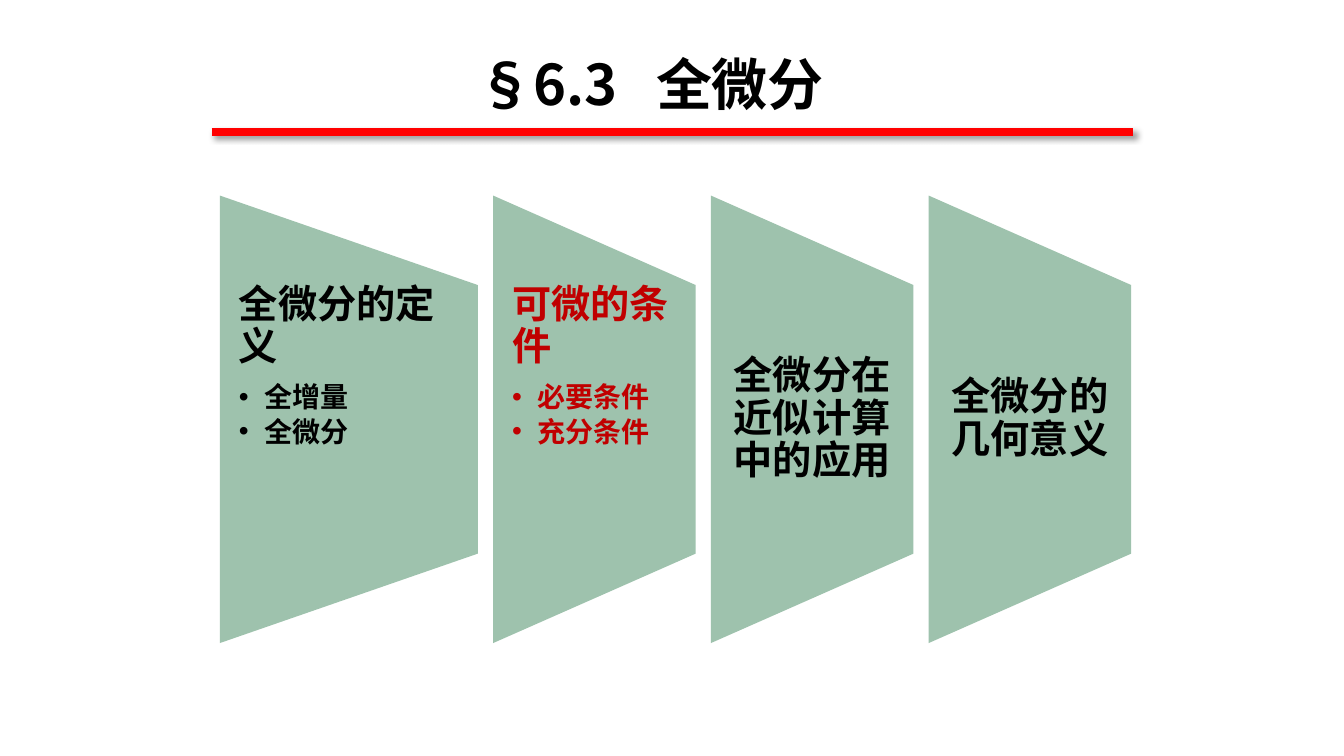
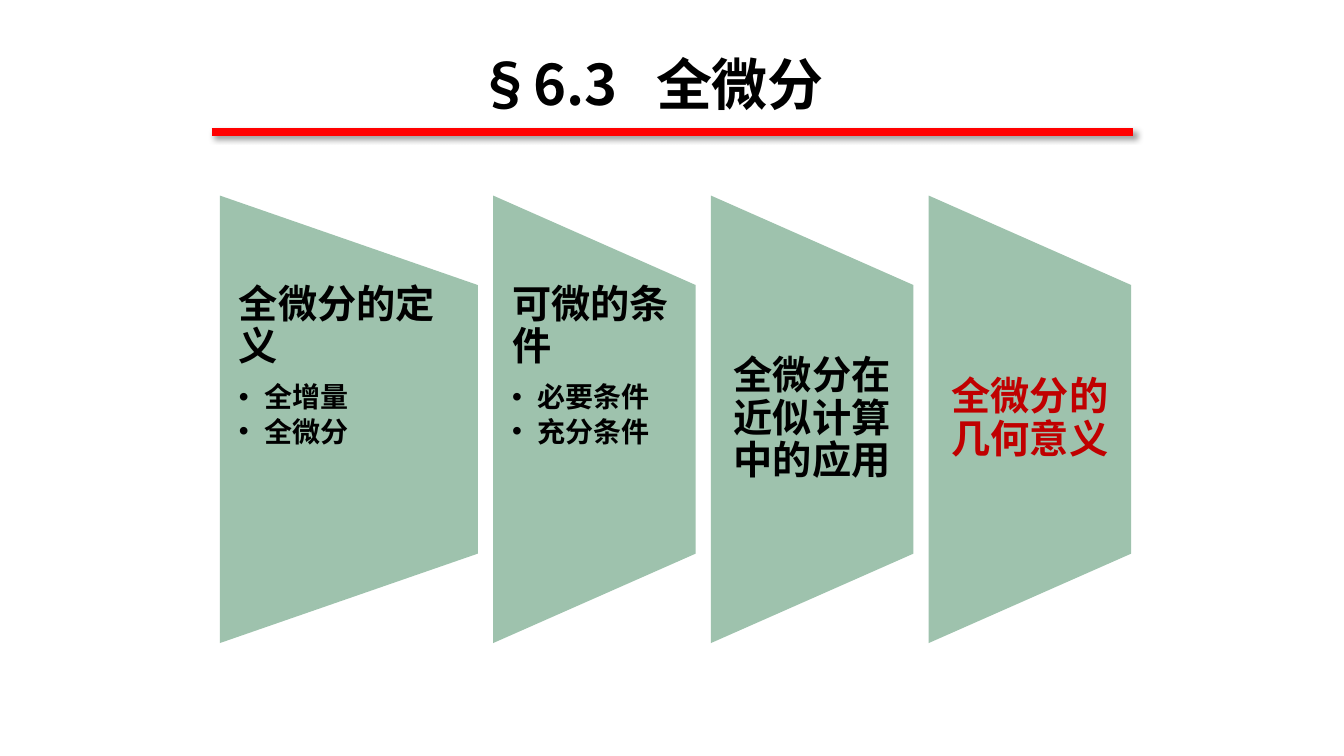
import pptx
import pptx.dml.color
import pptx.enum.shapes
import pptx.enum.text
import pptx.oxml
import pptx.oxml.ns
import pptx.util

Inches = pptx.util.Inches
Pt = pptx.util.Pt
ALIGN = pptx.enum.text.PP_ALIGN
ANCHOR = pptx.enum.text.MSO_ANCHOR

TITLE = "§6.3   全微分"
TOPICS = [
    ("全微分的定义", ["全增量", "全微分"], 2.56),
    ("可微的条件", ["必要条件", "充分条件"], 2.01),
    ("全微分在近似计算中的应用", [], 2.01),
    ("全微分的几何意义", [], 2.01),
]
CURRENT_TOPICS = [1, 3]

PANELS_LEFT = 2.18
PANEL_GAP = 0.15
PANEL_HEIGHT = 4.44
PANEL_MIDDLE = 4.16
TOPIC_HEIGHT = 2.67


class Deck:
    FONT = "Noto Sans CJK SC"
    COLORS = {
        "text": "000000",
        "current": "C00000",
        "panel": "9EC2AD",
        "rule": "FF0000",
        "shadow": "000000",
    }

    def __init__(self):
        self.presentation = pptx.Presentation()
        self.presentation.slide_width = Inches(13.33)
        self.presentation.slide_height = Inches(7.5)
        self.slide = None

    def color(self, name):
        return pptx.dml.color.RGBColor.from_string(self.COLORS[name])

    def new_slide(self):
        self.slide = self.presentation.slides.add_slide(self.presentation.slide_layouts[6])

    def style(self, paragraph, size, color):
        for run in paragraph.runs:
            run.font.name = self.FONT
            run.font.size = Pt(size)
            run.font.bold = True
            run.font.color.rgb = self.color(color)
            east_asian = run.font._element.makeelement(pptx.oxml.ns.qn("a:ea"), {"typeface": self.FONT})
            run.font._element.append(east_asian)

    def frame(self, left, top, width, height):
        box = self.slide.shapes.add_textbox(Inches(left), Inches(top), Inches(width), Inches(height))
        box.text_frame.word_wrap = True
        return box.text_frame

    def title(self, text):
        heading = self.frame(2.49, 0.44, 7.93, 0.77).paragraphs[0]
        heading.text = text
        heading.alignment = ALIGN.CENTER
        self.style(heading, 40, "text")

    def rule(self):
        rule = self.slide.shapes.add_connector(
            pptx.enum.shapes.MSO_CONNECTOR.STRAIGHT,
            Inches(2.1), Inches(1.31), Inches(11.24), Inches(1.31))
        rule.line.color.rgb = self.color("rule")
        rule.line.width = Pt(6)
        rule._element.spPr.append(pptx.oxml.parse_xml(
            f'<a:effectLst {pptx.oxml.ns.nsdecls("a")}>'
            f'<a:outerShdw blurRad="{Pt(4)}" dist="{Pt(3)}" dir="2700000" algn="tl" rotWithShape="0">'
            f'<a:srgbClr val="{self.COLORS["shadow"]}"><a:alpha val="40000"/></a:srgbClr>'
            '</a:outerShdw></a:effectLst>'))

    def panel(self, left, width):
        panel = self.slide.shapes.add_shape(
            pptx.enum.shapes.MSO_SHAPE.FLOWCHART_MANUAL_OPERATION,
            Inches(left + (width - PANEL_HEIGHT) / 2), Inches(PANEL_MIDDLE - width / 2),
            Inches(PANEL_HEIGHT), Inches(width))
        panel.rotation = 270
        panel.shadow.inherit = False
        panel.fill.solid()
        panel.fill.fore_color.rgb = self.color("panel")
        panel.line.fill.background()

    def bullet(self, paragraph):
        properties = paragraph._p.get_or_add_pPr()
        properties.set("marL", str(Inches(0.25)))
        properties.set("indent", str(Inches(-0.25)))
        for tag, attributes in (("a:buFont", {"typeface": "Arial"}), ("a:buChar", {"char": "•"})):
            properties.append(properties.makeelement(pptx.oxml.ns.qn(tag), attributes))

    def topic(self, left, width, heading, points, color):
        frame = self.frame(left, PANEL_MIDDLE - TOPIC_HEIGHT / 2, width, TOPIC_HEIGHT)
        frame.margin_left = frame.margin_right = Inches(0.19)
        frame.margin_top = frame.margin_bottom = 0
        frame.vertical_anchor = ANCHOR.TOP if points else ANCHOR.MIDDLE
        frame.text = "\n".join([heading, *points])
        for index, paragraph in enumerate(frame.paragraphs):
            paragraph.line_spacing = 0.9
            paragraph.space_after = Pt(3 if index else 10)
            paragraph.alignment = ALIGN.LEFT if points else ALIGN.CENTER
            self.style(paragraph, 20 if index else 28, color)
            if index:
                paragraph.level = 1
                self.bullet(paragraph)

    def outline(self, current):
        left = PANELS_LEFT
        for index, (heading, points, width) in enumerate(TOPICS):
            self.panel(left, width)
            self.topic(left, width, heading, points, "current" if index == current else "text")
            left += width + PANEL_GAP


def main():
    deck = Deck()
    for current in CURRENT_TOPICS:
        deck.new_slide()
        deck.title(TITLE)
        deck.outline(current)
        deck.rule()
    deck.presentation.save("out.pptx")


if __name__ == "__main__":
    main()
